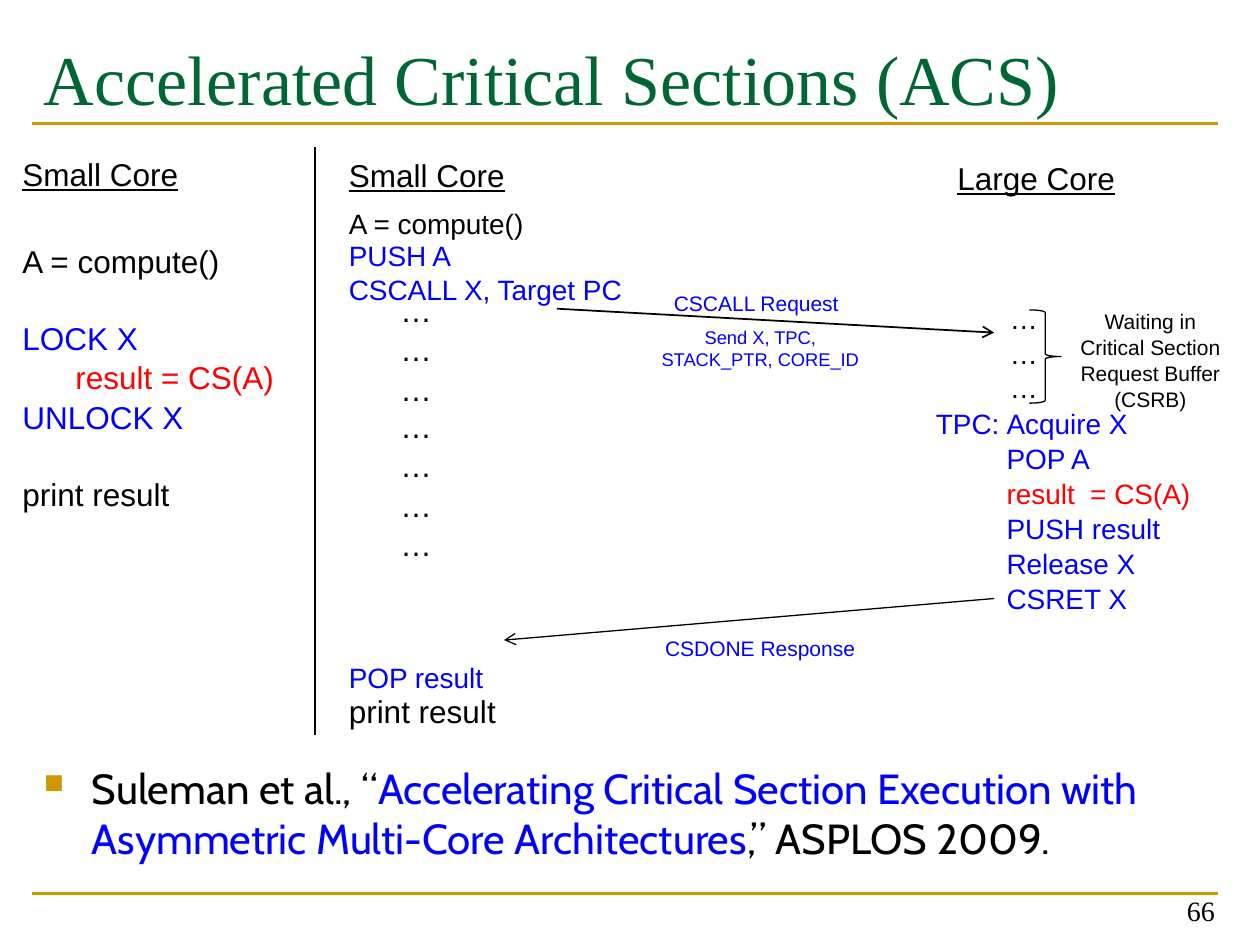
from lxml import etree
from pptx import Presentation
from pptx.dml.color import RGBColor
from pptx.enum.shapes import MSO_CONNECTOR, MSO_SHAPE
from pptx.enum.text import MSO_ANCHOR, PP_ALIGN
from pptx.oxml.ns import qn
from pptx.util import Inches, Pt

BLACK = RGBColor(0x00, 0x00, 0x00)
BLUE = RGBColor(0x00, 0x00, 0xFF)
RED = RGBColor(0xFF, 0x00, 0x00)
GREEN = RGBColor(0x00, 0x66, 0x33)
GOLD = RGBColor(0xCC, 0x99, 0x00)

LEFT, CENTER, RIGHT = PP_ALIGN.LEFT, PP_ALIGN.CENTER, PP_ALIGN.RIGHT
TOP, BOTTOM = MSO_ANCHOR.TOP, MSO_ANCHOR.BOTTOM
STRAIGHT = MSO_CONNECTOR.STRAIGHT
RIGHT_BRACE = MSO_SHAPE.RIGHT_BRACE

SERIF = "Times New Roman"
CODE_LINE_SPACING = 1.04


def add_text(slide, lines, left, top, width, height, *, size=16, color=BLACK,
             font="Arial", align=LEFT, anchor=TOP, underline=False,
             spacing=CODE_LINE_SPACING):
    """Each line is a string or a list of (text, color) runs."""
    shape = slide.shapes.add_textbox(
        Inches(left), Inches(top), Inches(width), Inches(height))
    frame = shape.text_frame
    frame.word_wrap = True
    frame.vertical_anchor = anchor
    for index, line in enumerate(lines):
        paragraph = frame.add_paragraph() if index else frame.paragraphs[0]
        paragraph.alignment = align
        paragraph.line_spacing = spacing
        runs = [(line, color)] if isinstance(line, str) else line
        for text, run_color in runs:
            run = paragraph.add_run()
            run.text = text
            run.font.name = font
            run.font.size = Pt(size)
            run.font.underline = underline
            run.font.color.rgb = run_color
    return frame.paragraphs


def add_line(slide, start, end, *, color=BLACK, width=0.75, arrow=False):
    connector = slide.shapes.add_connector(
        STRAIGHT, *(Inches(value) for value in (*start, *end)))
    connector.line.color.rgb = color
    connector.line.width = Pt(width)
    if arrow:
        etree.SubElement(connector.line._get_or_add_ln(), qn("a:tailEnd"), type="arrow")
    etree.SubElement(connector._element.spPr, qn("a:effectLst"))


def add_brace(slide, left, top, width, height):
    brace = slide.shapes.add_shape(
        RIGHT_BRACE, Inches(left), Inches(top), Inches(width), Inches(height))
    brace.adjustments[0] = 0.083
    brace.adjustments[1] = 0.5
    brace.shadow.inherit = False
    brace.fill.background()
    brace.line.color.rgb = BLACK
    brace.line.width = Pt(0.75)


def set_indent(paragraph, margin, first_line=0.0):
    properties = paragraph._p.get_or_add_pPr()
    properties.set("marL", str(Inches(margin)))
    properties.set("indent", str(Inches(first_line)))
    return properties


def add_square_bullet(paragraph):
    properties = set_indent(paragraph, 0.38, -0.38)
    bullet_color = etree.SubElement(properties, qn("a:buClr"))
    etree.SubElement(bullet_color, qn("a:srgbClr"), val=str(GOLD))
    etree.SubElement(properties, qn("a:buSzPct"), val="65000")
    etree.SubElement(properties, qn("a:buChar"), char="■")


def add_frame(slide):
    for y in (0.98, 7.09):
        add_line(slide, (0.25, y), (9.67, y), color=GOLD, width=1.5)
    add_text(slide, ["Accelerated Critical Sections (ACS)"], 0.25, 0.23, 9.42, 0.75,
             size=40, color=GREEN, font=SERIF, spacing=1.0)
    add_text(slide, ["66"], 7.41, 6.91, 2.33, 0.5,
             font=SERIF, align=RIGHT, anchor=BOTTOM, spacing=1.0)


def add_headings(slide):
    for heading, left, top in (("Small Core", 0.08, 1.17),
                               ("Small Core", 2.67, 1.18),
                               ("Large Core", 7.5, 1.2)):
        add_text(slide, [heading], left, top, 1.75, 0.4, size=18, underline=True)


def add_conventional_code(slide):
    code = ["A = compute()", [("LOCK X", BLUE)], [("result = CS(A)", RED)],
            [("UNLOCK X", BLUE)], "print result"]
    paragraphs = add_text(slide, code, 0.08, 1.86, 2.25, 2.22, size=18)
    for index in (1, 4):
        paragraphs[index].space_before = Pt(21.6)
    set_indent(paragraphs[2], 0.42)
    add_line(slide, (2.5, 1.17), (2.5, 5.83))


def add_small_core_code(slide):
    add_text(slide, ["A = compute()"], 2.67, 1.58, 2.25, 0.37)
    add_text(slide, ["PUSH A", "CSCALL X, Target PC"], 2.67, 1.83, 2.44, 0.64, color=BLUE)
    add_text(slide, ["…"] * 3, 3.08, 2.25, 0.25, 1.01, size=18)
    add_text(slide, ["…"] * 4, 3.08, 3.17, 0.25, 1.31, size=18)
    add_text(slide, ["POP result"], 2.67, 5.18, 1.33, 0.37, color=BLUE)
    add_text(slide, ["print result"], 2.67, 5.43, 1.5, 0.4, size=18)


def add_messages(slide):
    add_line(slide, (4.42, 2.45), (7.89, 2.64), width=1, arrow=True)
    add_text(slide, ["CSCALL Request"], 5.25, 2.25, 1.54, 0.3, size=12, color=BLUE)
    add_text(slide, ["Send X, TPC, STACK_PTR, CORE_ID"], 5.11, 2.53, 1.85, 0.43,
             size=10.5, color=BLUE, align=CENTER)
    add_line(slide, (7.89, 4.75), (4, 5.08), arrow=True)
    add_text(slide, ["CSDONE Response"], 5.18, 4.99, 1.9, 0.3, size=12, color=BLUE)


def add_large_core_code(slide):
    add_text(slide, ["…"] * 3, 7, 2.33, 2.25, 0.91, align=CENTER)
    add_brace(slide, 8.17, 2.46, 0.25, 0.74)
    add_text(slide, ["Waiting in Critical Section Request Buffer (CSRB)"],
             8.42, 2.39, 1.42, 0.91, size=12, align=CENTER)
    add_text(slide, ["TPC:"], 7.33, 3.17, 0.8, 0.37, color=BLUE)
    code = ["Acquire X", "POP A", [("result  = CS(A)", RED)],
            "PUSH result", "Release X", "CSRET X"]
    add_text(slide, code, 7.89, 3.17, 1.92, 1.7, color=BLUE)


def add_reference(slide):
    citation = [
        ("Suleman et al., “", BLACK),
        ("Accelerating Critical Section Execution with "
         "Asymmetric Multi-Core Architectures", BLUE),
        (",” ASPLOS 2009.", BLACK),
    ]
    paragraphs = add_text(slide, [citation], 0.25, 6, 9.42, 1,
                          size=24, font="Cabin", spacing=1.0)
    add_square_bullet(paragraphs[0])


def main():
    presentation = Presentation()
    presentation.slide_width = Inches(10)
    presentation.slide_height = Inches(7.5)
    slide = presentation.slides.add_slide(presentation.slide_layouts[6])
    add_frame(slide)
    add_headings(slide)
    add_conventional_code(slide)
    add_small_core_code(slide)
    add_messages(slide)
    add_large_core_code(slide)
    add_reference(slide)
    presentation.save("out.pptx")


if __name__ == "__main__":
    main()
